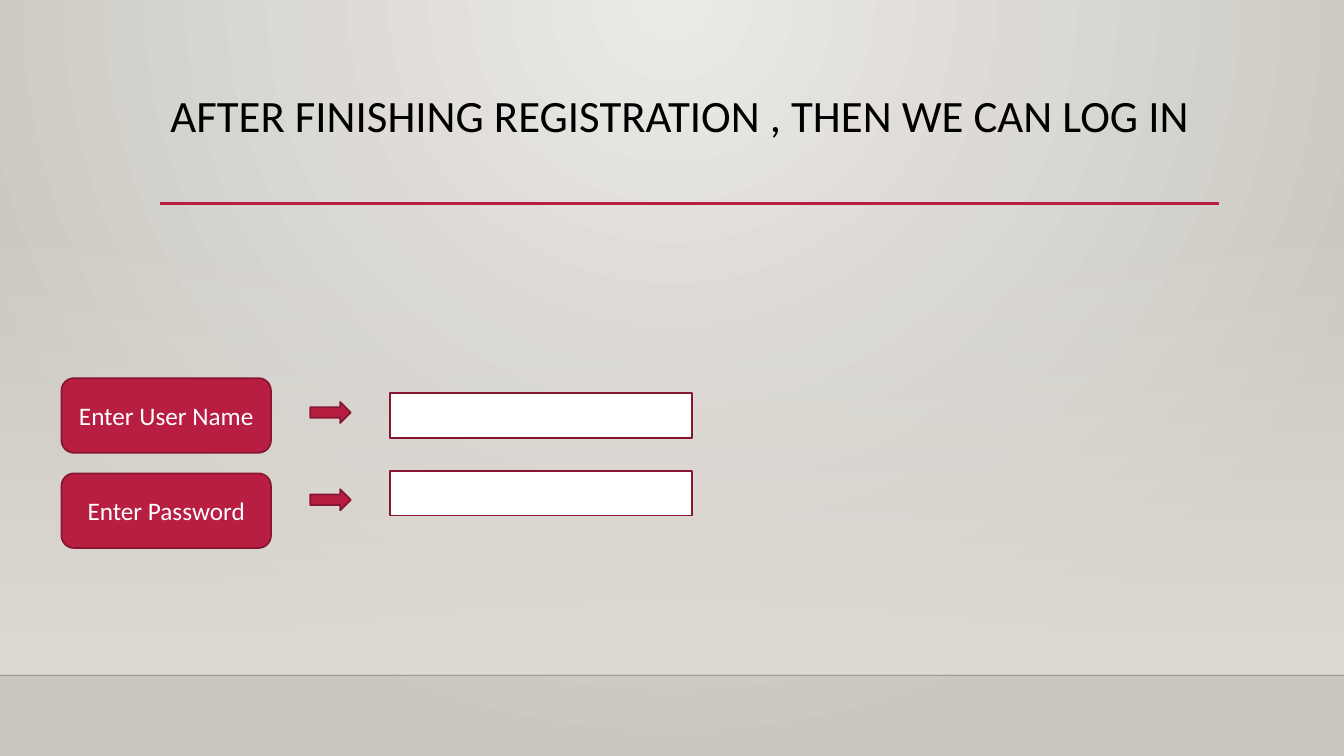
from lxml import etree
from pptx import Presentation
from pptx.dml.color import RGBColor
from pptx.enum.shapes import MSO_CONNECTOR, MSO_SHAPE
from pptx.enum.text import MSO_ANCHOR, PP_ALIGN
from pptx.oxml.ns import qn
from pptx.util import Cm, Pt

RECT, ROUNDED, ARROW = MSO_SHAPE.RECTANGLE, MSO_SHAPE.ROUNDED_RECTANGLE, MSO_SHAPE.RIGHT_ARROW
STRAIGHT = MSO_CONNECTOR.STRAIGHT
TOP, MIDDLE = MSO_ANCHOR.TOP, MSO_ANCHOR.MIDDLE
LEFT, CENTER = PP_ALIGN.LEFT, PP_ALIGN.CENTER
TITLE_ONLY = 5
WIDTH, HEIGHT = 33.87, 19.05


def rgb(value):
    """Turn a hex string into a colour."""
    return RGBColor.from_string(value)


def write(frame, text, size, color, font, align=LEFT, anchor=TOP, spacing=1.0):
    """Put one formatted paragraph into a text frame."""
    frame.word_wrap = True
    frame.vertical_anchor = anchor
    paragraph = frame.paragraphs[0]
    paragraph.alignment = align
    paragraph.line_spacing = spacing
    run = paragraph.add_run()
    run.text = text
    run.font.size, run.font.name = Pt(size), font
    run.font.color.rgb = rgb(color)


def shade(fill, start, end):
    """Apply a two-colour gradient and return its XML element."""
    fill.gradient()
    for stop, color in zip(fill.gradient_stops, (start, end)):
        stop.color.rgb = rgb(color)
    return fill._xPr.find(qn("a:gradFill"))


def set_alpha(parent, percent):
    """Set the opacity of the first colour below an element."""
    color = next(parent.iter(qn("a:srgbClr")))
    etree.SubElement(color, qn("a:alpha"), val=str(percent * 1000))


class LoginSlide:
    """Holds the style and the current slide."""

    font = "Calibri"
    accent, outline = "B71E42", "871631"
    white, black = "FFFFFF", "000000"

    def __init__(self, slide):
        """Keep the slide to draw on."""
        self.slide = slide

    def backdrop(self, center, edge):
        """Fill the background with a glow from the top centre."""
        gradient = shade(self.slide.background.fill, center, edge)
        gradient.remove(gradient.find(qn("a:lin")))
        glow = etree.SubElement(gradient, qn("a:path"), path="circle")
        etree.SubElement(glow, qn("a:fillToRect"), l="43000", t="0", r="43000", b="100000")

    def wall(self, top, height, color):
        """Draw a full-width band that fades in downwards."""
        band = self.slide.shapes.add_shape(RECT, 0, Cm(top), Cm(WIDTH), Cm(height))
        band.shadow.inherit = False
        band.line.fill.background()
        gradient = shade(band.fill, color, color)
        band.fill.gradient_angle = 270
        set_alpha(gradient, 0)

    def rule(self, left, right, y, color, width, opacity=100):
        """Draw a horizontal line."""
        line = self.slide.shapes.add_connector(STRAIGHT, Cm(left), Cm(y), Cm(right), Cm(y))
        line.line.color.rgb = rgb(color)
        line.line.width = Pt(width)
        properties = line._element.spPr
        if opacity < 100:
            set_alpha(properties, opacity)
        etree.SubElement(properties, qn("a:effectLst"))

    def title(self, text, left, top, width, height):
        """Place the title and bring it in front of the backdrop."""
        heading = self.slide.shapes.title
        heading.left, heading.top = Cm(left), Cm(top)
        heading.width, heading.height = Cm(width), Cm(height)
        write(heading.text_frame, text, 32, self.black, self.font, spacing=0.9)
        self.slide.shapes._spTree.append(heading._element)

    def block(self, kind, left, top, width, height, fill, text=None):
        """Draw an outlined shape, with a centred label if given."""
        shape = self.slide.shapes.add_shape(kind, Cm(left), Cm(top), Cm(width), Cm(height))
        shape.shadow.inherit = False
        shape.fill.solid()
        shape.fill.fore_color.rgb = rgb(fill)
        shape.line.color.rgb = rgb(self.outline)
        shape.line.width = Pt(1.25)
        if text:
            write(shape.text_frame, text, 18, self.white, self.font, CENTER, MIDDLE)


def main():
    """Build and save the log-in slide."""
    deck = Presentation()
    deck.slide_width, deck.slide_height = Cm(WIDTH), Cm(HEIGHT)
    login = LoginSlide(deck.slides.add_slide(deck.slide_layouts[TITLE_ONLY]))

    login.backdrop("ECEAE7", "CAC7C1")
    login.wall(5.61, 11.4, "DFDBD5")
    login.rule(0, WIDTH, 17.02, "000001", 1, opacity=20)
    login.rule(4.04, 30.73, 5.13, login.accent, 2.5)
    login.title("AFTER FINISHING REGISTRATION , THEN WE CAN LOG IN", 4.04, 2.24, 26.67, 2.92)

    for row, prompt in enumerate(("Enter User Name", "Enter Password")):
        login.block(ARROW, 7.82, 10.13 + row * 2.2, 1.02, 0.53, login.accent)
        login.block(ROUNDED, 1.55, 9.53 + row * 2.4, 5.28, 1.88, login.accent, prompt)
        login.block(RECT, 9.83, 9.91 + row * 1.96, 7.62, 1.12, login.white)

    deck.save("out.pptx")


main()
